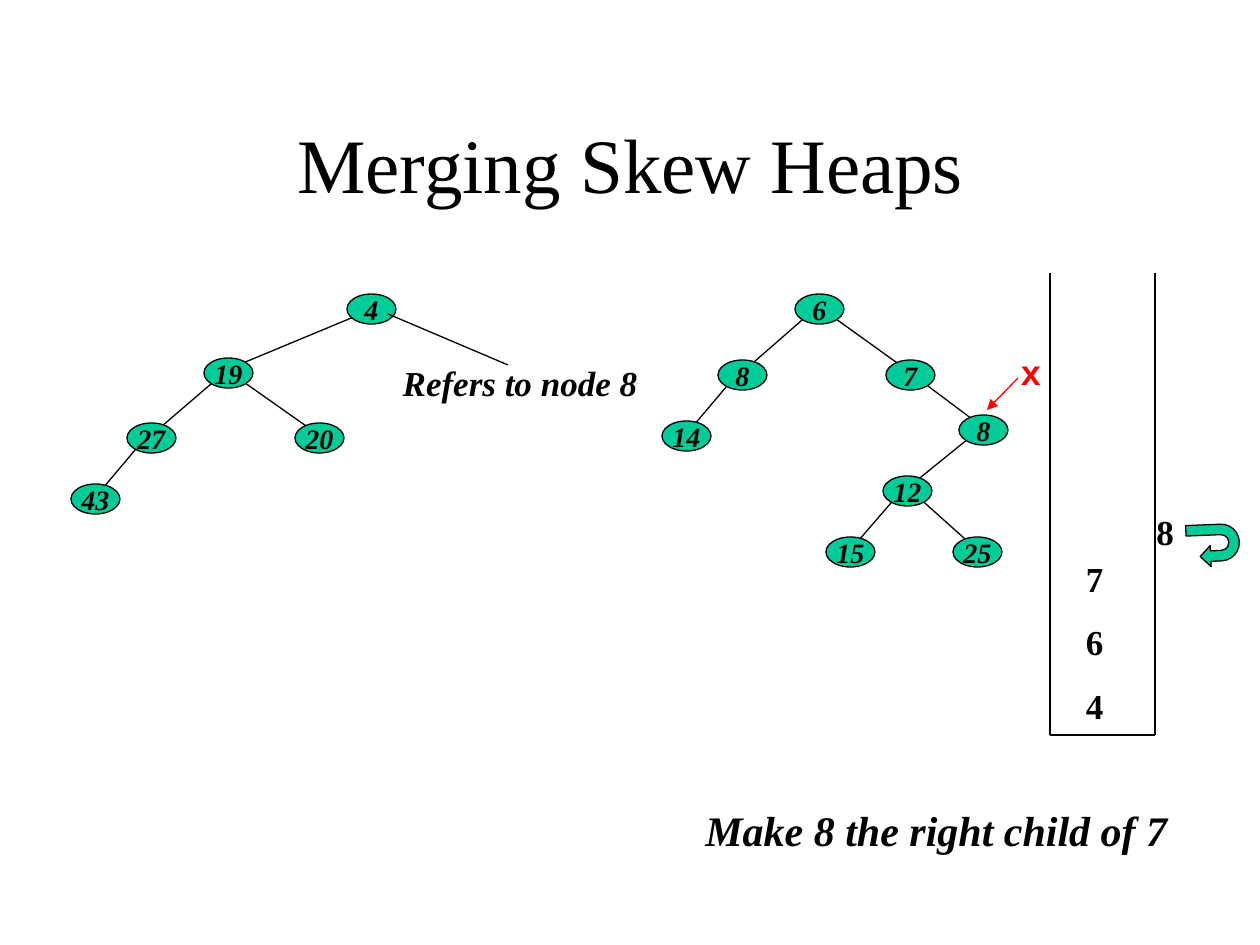
from pptx import Presentation
from pptx.dml.color import RGBColor
from pptx.enum.shapes import MSO_CONNECTOR, MSO_SHAPE
from pptx.enum.text import MSO_ANCHOR, PP_ALIGN
from pptx.oxml.ns import qn
from pptx.util import Emu, Pt
from lxml.etree import SubElement

SCALE = 914400 // 126
SERIF, MONO = "Times New Roman", "Courier New"
BLACK, RED, GREEN = "000000", "FF0000", "00CC99"
NODE_WIDTH, NODE_HEIGHT = 49, 30

TITLE = "Merging Skew Heaps"
# Each heap: name -> (label, centre x, centre y, parent name)
HEAPS = [
    {
        "root": ("4", 371, 309, None),
        "left": ("19", 228, 373, "root"),
        "left left": ("27", 151, 438, "left"),
        "left right": ("20", 319, 438, "left"),
        "leaf": ("43", 95, 499, "left left"),
    },
    {
        "root": ("6", 819, 309, None),
        "left": ("8", 742, 375, "root"),
        "leaf": ("14", 686, 436, "left"),
        "right": ("7", 910, 375, "root"),
        "right right": ("8", 983, 430, "right"),
        "inner": ("12", 907, 491, "right right"),
        "inner left": ("15", 850, 552, "inner"),
        "inner right": ("25", 977, 552, "inner"),
    },
]
STACK = ["7", "6", "4"]
STACK_LEFT, STACK_TOP, STACK_RIGHT, STACK_BOTTOM = 1050, 273, 1155, 735
# Text, (left, top, width, height), size, font, colour, italic, alignment
LABELS = [
    ("Make 8 the right child of 7", (693, 798, 525, 63), 24, SERIF, BLACK, True, PP_ALIGN.LEFT),
    ("x", (1008, 344, 42, 55), 20, MONO, RED, False, PP_ALIGN.CENTER),
    ("8", (1144, 504, 42, 55), 20, SERIF, BLACK, False, PP_ALIGN.CENTER),
    ("Refers to node 8", (378, 355, 284, 55), 20, SERIF, BLACK, True, PP_ALIGN.CENTER),
]


def px(value):
    return Emu(value * SCALE)


def color(value):
    return RGBColor.from_string(value)


def style(frame, size, font, hue, bold, italic, align):
    for para in frame.paragraphs:
        para.alignment = align
        for span in para.runs:
            span.font.size = Pt(size)
            span.font.name = font
            span.font.bold = bold
            span.font.italic = italic
            span.font.color.rgb = color(hue)


def add_line(start, end, hue=BLACK, arrow=False):
    line = page.shapes.add_connector(MSO_CONNECTOR.STRAIGHT, *map(px, start + end))
    line.line.color.rgb = color(hue)
    line.line.width = Pt(0.75)
    if arrow:
        SubElement(line.line._get_or_add_ln(), qn("a:tailEnd"), type="triangle")
    SubElement(line._element.spPr, qn("a:effectLst"))


def add_green(kind, left, top, width, height):
    shape = page.shapes.add_shape(kind, *map(px, (left, top, width, height)))
    shape.shadow.inherit = False
    shape.fill.solid()
    shape.fill.fore_color.rgb = color(GREEN)
    shape.line.color.rgb = color(BLACK)
    shape.line.width = Pt(0.75)
    return shape


def add_heap(heap):
    # Edges first, so that the nodes cover their ends
    for _, x, y, parent in heap.values():
        if parent:
            _, parent_x, parent_y, _ = heap[parent]
            side = 1 if x > parent_x else -1
            add_line((parent_x + side * 10, parent_y + 5), (x - side * 3, y - 5))
    for label, x, y, _ in heap.values():
        node = add_green(MSO_SHAPE.OVAL, x - NODE_WIDTH // 2, y - NODE_HEIGHT // 2,
                         NODE_WIDTH, NODE_HEIGHT)
        frame = node.text_frame
        frame.text = label
        frame.word_wrap = False
        frame.vertical_anchor = MSO_ANCHOR.MIDDLE
        style(frame, 16, SERIF, BLACK, True, True, PP_ALIGN.CENTER)


def add_text(text, area):
    box = page.shapes.add_textbox(*map(px, area))
    box.text_frame.text = text
    box.text_frame.word_wrap = True
    return box.text_frame


deck = Presentation()
deck.slide_width, deck.slide_height = px(1260), px(945)
page = deck.slides.add_slide(deck.slide_layouts[5])

# Title
title = page.shapes.title
title.left, title.top, title.width, title.height = map(px, (95, 84, 1071, 158))
title.text_frame.text = TITLE
title.text_frame.vertical_anchor = MSO_ANCHOR.MIDDLE
style(title.text_frame, 44, SERIF, BLACK, False, False, PP_ALIGN.CENTER)

# Heaps, with the open link of the first root and the pointer into the second
for heap in HEAPS:
    add_heap(heap)
add_line((388, 314), (508, 365))
add_line((1018, 378), (987, 410), RED, arrow=True)

# Stack
for x in (STACK_LEFT, STACK_RIGHT):
    add_line((x, STACK_TOP), (x, STACK_BOTTOM))
add_line((STACK_LEFT, STACK_BOTTOM), (STACK_RIGHT, STACK_BOTTOM))
stack = add_text("\n".join(STACK), (1047, 231, 105, 502))
stack.margin_left = px(39)
stack.vertical_anchor = MSO_ANCHOR.BOTTOM
style(stack, 20, SERIF, BLACK, True, False, PP_ALIGN.LEFT)
for para in stack.paragraphs[1:]:
    para.space_before = Pt(12.5)

# Popped entry's arrow
arrow = add_green(MSO_SHAPE.U_TURN_ARROW, 1192, 519, 42, 53)
arrow.rotation = 87.6

# Labels
for text, area, size, font, hue, italic, align in LABELS:
    style(add_text(text, area), size, font, hue, True, italic, align)

deck.save("out.pptx")
